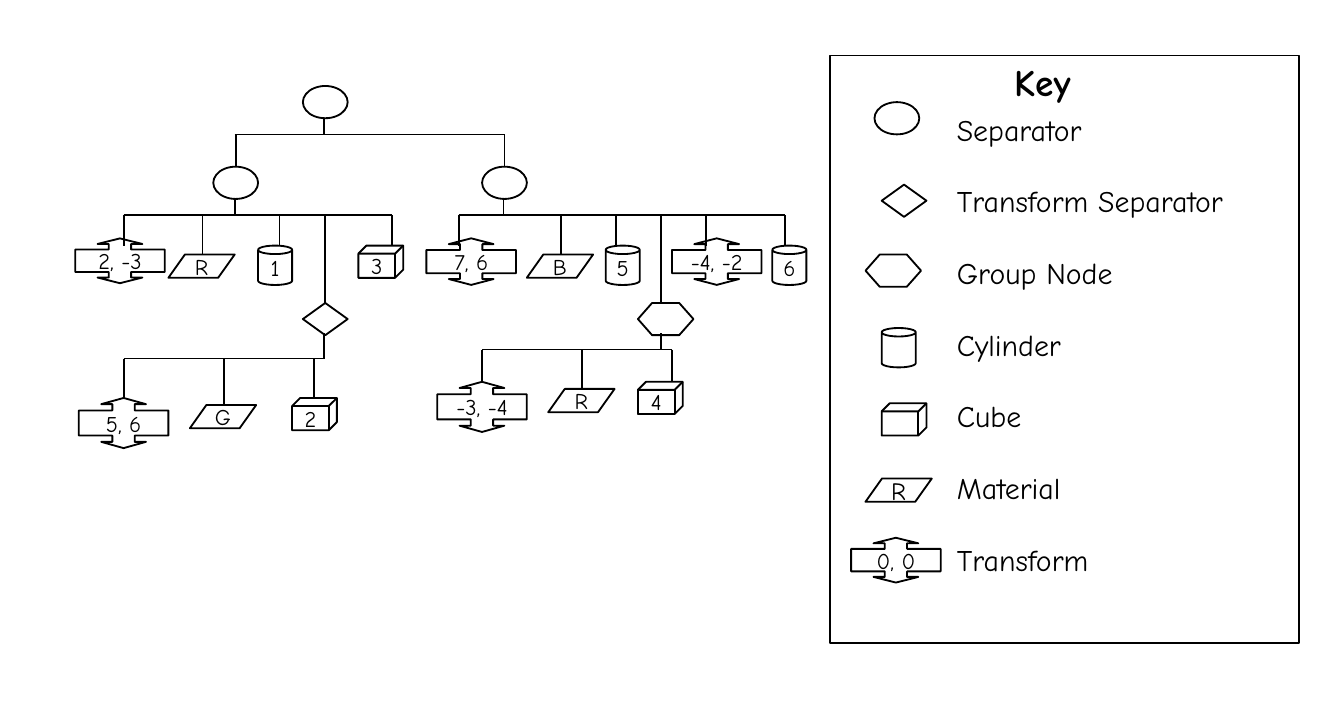
"""Build the scene graph slide with its key of node symbols."""
import pptx
import pptx.dml.color
import pptx.enum.shapes
import pptx.enum.text
import pptx.oxml
import pptx.util

Inches = pptx.util.Inches
Pt = pptx.util.Pt
Shape = pptx.enum.shapes.MSO_SHAPE
FONT = "Comic Neue"
BLACK = "000000"


def color(value):
    return pptx.dml.color.RGBColor.from_string(value)


def style_text(shape, lines, size, bold=False):
    frame = shape.text_frame
    frame.text = "\n".join(lines)
    frame.word_wrap = False
    frame.margin_left = frame.margin_right = Inches(0.08)
    frame.margin_top = frame.margin_bottom = Inches(0.04)
    for paragraph in frame.paragraphs:
        for run in paragraph.runs:
            run.font.name = FONT
            run.font.size = Pt(size)
            run.font.bold = bold
            run.font.color.rgb = color(BLACK)


presentation = pptx.Presentation()
presentation.slide_width = Inches(7.5)
presentation.slide_height = Inches(4)
slide = presentation.slides.add_slide(presentation.slide_layouts[6])

kinds = {
    "separator": (Shape.OVAL, 0.25, 0.18, None),
    "transform separator": (Shape.DIAMOND, 0.25, 0.18, None),
    "group": (Shape.HEXAGON, 0.31, 0.18, 0.44),
    "cylinder": (Shape.CAN, 0.19, 0.22, 0.25),
    "cube": (Shape.CUBE, 0.25, 0.18, 0.25),
    "material": (Shape.PARALLELOGRAM, 0.37, 0.13, 0.71),
    "key": (Shape.RECTANGLE, 2.62, 3.28, None),
}
nodes = [
    ("key", 4.63, 0.31, ""),
    ("separator", 4.88, 0.57, ""),
    ("transform separator", 4.92, 1.03, ""),
    ("group", 4.83, 1.42, ""),
    ("cylinder", 4.92, 1.83, ""),
    ("cube", 4.92, 2.25, ""),
    ("material", 4.83, 2.67, "R"),
    ("separator", 1.69, 0.48, ""),
    ("separator", 1.19, 0.93, ""),
    ("separator", 2.69, 0.93, ""),
    ("material", 0.94, 1.42, "R"),
    ("cylinder", 1.44, 1.37, "1"),
    ("transform separator", 1.69, 1.69, ""),
    ("cube", 2, 1.37, "3"),
    ("material", 1.06, 2.26, "G"),
    ("cube", 1.63, 2.22, "2"),
    ("material", 2.94, 1.42, "B"),
    ("cylinder", 3.38, 1.37, "5"),
    ("group", 3.56, 1.69, ""),
    ("cylinder", 4.31, 1.37, "6"),
    ("material", 3.06, 2.17, "R"),
    ("cube", 3.56, 2.13, "4"),
]
transforms = [
    (4.75, 3, 0.25, "0, 0"),
    (0.42, 1.33, 0.25, "2, -3"),
    (2.38, 1.33, 0.26, "7, 6"),
    (3.75, 1.33, 0.26, "-4, -2"),
    (0.44, 2.22, 0.28, "5, 6"),
    (2.44, 2.13, 0.28, "-3, -4"),
]
quarter = [(0, 0.25), (0.375, 0.25), (0.375, 0.125), (0.25, 0.125), (0.5, 0)]
top_half = quarter + [(1 - x, y) for x, y in quarter[-2::-1]]
outline = top_half + [(x, 1 - y) for x, y in top_half[::-1] if y < 0.25 or x in (0, 0.375, 0.625, 1)]

labelled = []
tops = {}
for kind, left, top, label in nodes:
    preset, width, height, adjustment = kinds[kind]
    shape = slide.shapes.add_shape(preset, Inches(left), Inches(top), Inches(width), Inches(height))
    if adjustment:
        shape.adjustments[0] = adjustment
    if kind in ("separator", "transform separator"):
        tops[round(left + 0.12, 2), top] = shape
    labelled.append((shape, label, 10 if left > 4.63 else 9))

for left, top, height, label in transforms:
    points = [(Inches(left + 0.5 * x), Inches(top + height * y)) for x, y in outline]
    builder = slide.shapes.build_freeform(*points[0])
    builder.add_line_segments(points[1:], close=True)
    labelled.append((builder.convert_to_shape(), label, 9))

for shape, label, size in labelled:
    shape.shadow.inherit = False
    shape.fill.background()
    shape.line.color.rgb = color(BLACK)
    shape.line.width = Pt(0.75)
    if label:
        style_text(shape, [label], size)
        shape.text_frame.vertical_anchor = pptx.enum.text.MSO_ANCHOR.MIDDLE
        shape.text_frame.paragraphs[0].alignment = pptx.enum.text.PP_ALIGN.CENTER

branches = [
    (1.81, 0.66, 0.75, {1.31: 0.93, 2.81: 0.93}),
    (1.31, 1.11, 1.2, {0.69: 1.37, 1.13: 1.42, 1.56: 1.37, 1.81: 1.69, 2.19: 1.37}),
    (2.81, 1.11, 1.2, {2.56: 1.37, 3.13: 1.42, 3.44: 1.37, 3.69: 1.69, 3.94: 1.37, 4.38: 1.37}),
    (1.81, 1.86, 2, {0.69: 2.22, 1.25: 2.26, 1.75: 2.22}),
    (3.69, 1.86, 1.95, {2.69: 2.13, 3.25: 2.17, 3.75: 2.13}),
]
for parent_x, parent_bottom, bus_y, children in branches:
    ends = [parent_x, *children]
    lines = [(parent_x, parent_bottom, parent_x, bus_y), (min(ends), bus_y, max(ends), bus_y)]
    lines += [(x, bus_y, x, child_top) for x, child_top in children.items()]
    for x1, y1, x2, y2 in lines:
        connector = slide.shapes.add_connector(
            pptx.enum.shapes.MSO_CONNECTOR.STRAIGHT, Inches(x1), Inches(y1), Inches(x2), Inches(y2)
        )
        connector.line.color.rgb = color(BLACK)
        connector.line.width = Pt(0.75)
        connector._element.spPr.append(pptx.oxml.parse_xml(
            '<a:effectLst xmlns:a="http://schemas.openxmlformats.org/drawingml/2006/main"/>'
        ))
        if (x2, y2) in tops:
            connector.end_connect(tops[x2, y2], 0)
            connector.begin_x = connector.end_x

names = ["Separator", "Transform Separator", "Group Node", "Cylinder", "Cube", "Material", "Transform"]
key_names = slide.shapes.add_textbox(Inches(5.26), Inches(0.58), Inches(1.66), Inches(2.68))
style_text(key_names, names, 12)
for paragraph in key_names.text_frame.paragraphs[1:]:
    paragraph.space_before = Pt(14.4)

key_title = slide.shapes.add_textbox(Inches(5.58), Inches(0.29), Inches(0.48), Inches(0.33))
style_text(key_title, ["Key"], 15, bold=True)

presentation.save("out.pptx")
